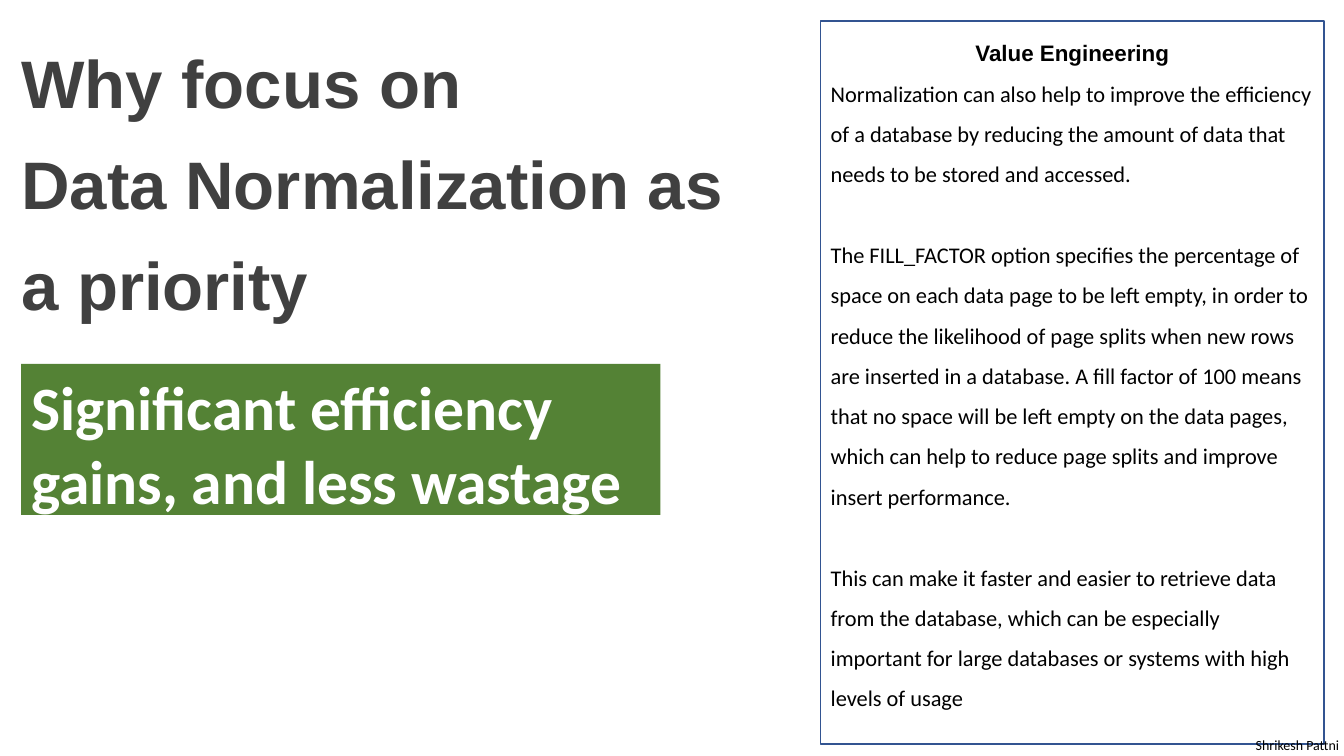
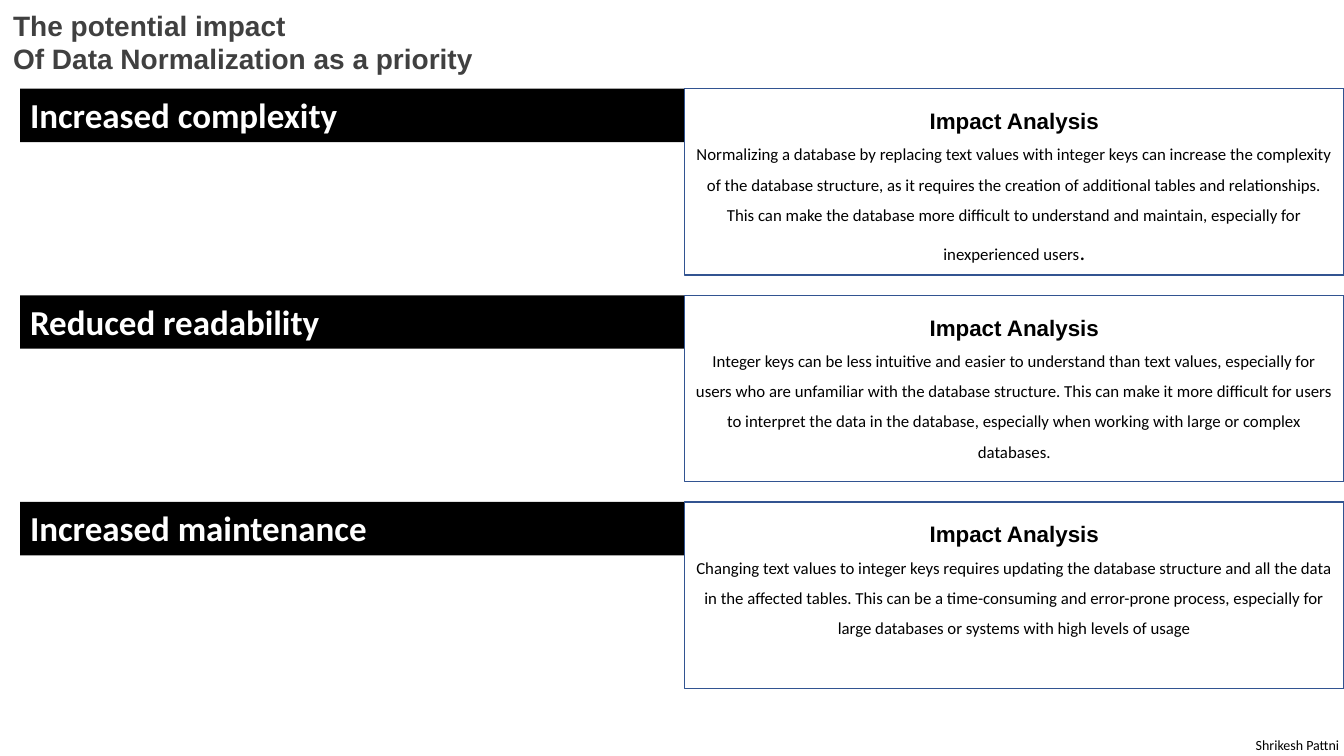
from pptx import Presentation
from pptx.dml.color import RGBColor
from pptx.enum.shapes import MSO_SHAPE
from pptx.enum.text import MSO_ANCHOR, PP_ALIGN
from pptx.util import Inches, Pt

BLACK = RGBColor(0x00, 0x00, 0x00)
WHITE = RGBColor(0xFF, 0xFF, 0xFF)
GREEN = RGBColor(0x54, 0x82, 0x35)
TITLE_GREY = RGBColor(0x40, 0x40, 0x40)
BORDER_BLUE = RGBColor(0x32, 0x54, 0x91)

HEADING_FONT = "Arial"
BODY_FONT = "Calibri"

VALUE_TEXTS = [
    "Normalization can also help to improve the efficiency of a database by reducing "
    "the amount of data that needs to be stored and accessed.",
    "The FILL_FACTOR option specifies the percentage of space on each data page to be "
    "left empty, in order to reduce the likelihood of page splits when new rows are "
    "inserted in a database. A fill factor of 100 means that no space will be left "
    "empty on the data pages, which can help to reduce page splits and improve insert "
    "performance.",
    "This can make it faster and easier to retrieve data from the database, which can "
    "be especially important for large databases or systems with high levels of usage",
]

IMPACTS = [
    ("Increased complexity",
     "Normalizing a database by replacing text values with integer keys can increase "
     "the complexity of the database structure, as it requires the creation of "
     "additional tables and relationships. This can make the database more difficult "
     "to understand and maintain, especially for inexperienced users", "."),
    ("Reduced readability",
     "Integer keys can be less intuitive and easier to understand than text values, "
     "especially for users who are unfamiliar with the database structure. This can "
     "make it more difficult for users to interpret the data in the database, "
     "especially when working with large or complex databases.", ""),
    ("Increased maintenance",
     "Changing text values to integer keys requires updating the database structure "
     "and all the data in the affected tables. This can be a time-consuming and "
     "error-prone process, especially for large databases or systems with high levels "
     "of usage", ""),
]


def add_run(paragraph, text, *, size, font=BODY_FONT, color=BLACK, bold=False):
    run = paragraph.add_run()
    run.text = text
    run.font.size = Pt(size)
    run.font.name = font
    run.font.color.rgb = color
    run.font.bold = bold


def add_paragraph(frame, text, *, align=PP_ALIGN.LEFT, line_spacing=None,
                  space_before=0, **run_format):
    """Fill the frame's empty first paragraph, or append a new one."""
    paragraph = frame.paragraphs[0]
    if paragraph.runs:
        paragraph = frame.add_paragraph()
    paragraph.alignment = align
    paragraph.line_spacing = line_spacing
    paragraph.space_before = Pt(space_before)
    add_run(paragraph, text, **run_format)
    return paragraph


def add_text_frame(slide, left, top, width, height):
    text_box = slide.shapes.add_textbox(
        Inches(left), Inches(top), Inches(width), Inches(height))
    text_box.text_frame.word_wrap = True
    return text_box.text_frame


def add_rectangle(slide, left, top, width, height, fill, border=None):
    """Add a rectangle and return its text frame."""
    shape = slide.shapes.add_shape(
        MSO_SHAPE.RECTANGLE, Inches(left), Inches(top), Inches(width), Inches(height))
    shape.shadow.inherit = False
    shape.fill.solid()
    shape.fill.fore_color.rgb = fill
    if border is None:
        shape.line.fill.background()
    else:
        shape.line.color.rgb = border
        shape.line.width = Pt(1)
    shape.text_frame.word_wrap = True
    shape.text_frame.vertical_anchor = MSO_ANCHOR.TOP
    return shape.text_frame


def add_title(slide, lines, left, top, width, height, size, line_spacing=None):
    frame = add_text_frame(slide, left, top, width, height)
    frame.margin_left = frame.margin_right = 0
    frame.margin_top = frame.margin_bottom = 0
    for line in lines:
        add_paragraph(frame, line, size=size, font=HEADING_FONT, color=TITLE_GREY,
                      bold=True, line_spacing=line_spacing)


def add_band(slide, text, left, top, width, height, fill, size):
    frame = add_rectangle(slide, left, top, width, height, fill)
    add_paragraph(frame, text, size=size, color=WHITE, bold=True)


def add_panel(slide, heading, left, top, width, height):
    """Add a bordered panel with a centred heading and return its text frame."""
    frame = add_rectangle(slide, left, top, width, height, WHITE, BORDER_BLUE)
    add_paragraph(frame, heading, size=16, font=HEADING_FONT, bold=True,
                  align=PP_ALIGN.CENTER, line_spacing=1.5)
    return frame


def add_footer(slide):
    frame = add_text_frame(slide, 12.02, 7.26, 1.36, 0.27)
    add_paragraph(frame, "Shrikesh Pattni", size=10, align=PP_ALIGN.RIGHT)


def build_reason_slide(slide):
    add_band(slide, "Significant efficiency gains, and less wastage",
             0.21, 3.61, 6.34, 1.5, GREEN, 44)
    add_title(slide, ["Why focus on", "Data Normalization as a priority"],
              0.21, 0.21, 7.23, 2.93, 48, line_spacing=Pt(72))
    frame = add_panel(slide, "Value Engineering", 8.14, 0.21, 4.99, 7.17)
    for index, text in enumerate(VALUE_TEXTS):
        add_paragraph(frame, text, size=16, line_spacing=1.5,
                      space_before=29 if index else 0)
    add_footer(slide)


def build_impact_slide(slide):
    add_title(slide, ["The potential impact", "Of Data Normalization as a priority"],
              0.13, 0.08, 6.54, 1.01, 20)
    for row, (name, analysis, large_ending) in enumerate(IMPACTS):
        top = 0.88 + row * 2.05
        add_band(slide, name, 0.2, top, 6.59, 0.53, BLACK, 25)
        frame = add_panel(slide, "Impact Analysis", 6.79, top, 6.54, 1.85)
        paragraph = add_paragraph(frame, analysis, size=12, align=PP_ALIGN.CENTER,
                                  line_spacing=1.5)
        if large_ending:
            add_run(paragraph, large_ending, size=16)
    add_footer(slide)


def main():
    presentation = Presentation()
    presentation.slide_width = Inches(13.33)
    presentation.slide_height = Inches(7.5)
    blank_layout = presentation.slide_layouts[6]
    for build_slide in (build_reason_slide, build_impact_slide):
        build_slide(presentation.slides.add_slide(blank_layout))
    presentation.save("out.pptx")


if __name__ == "__main__":
    main()
